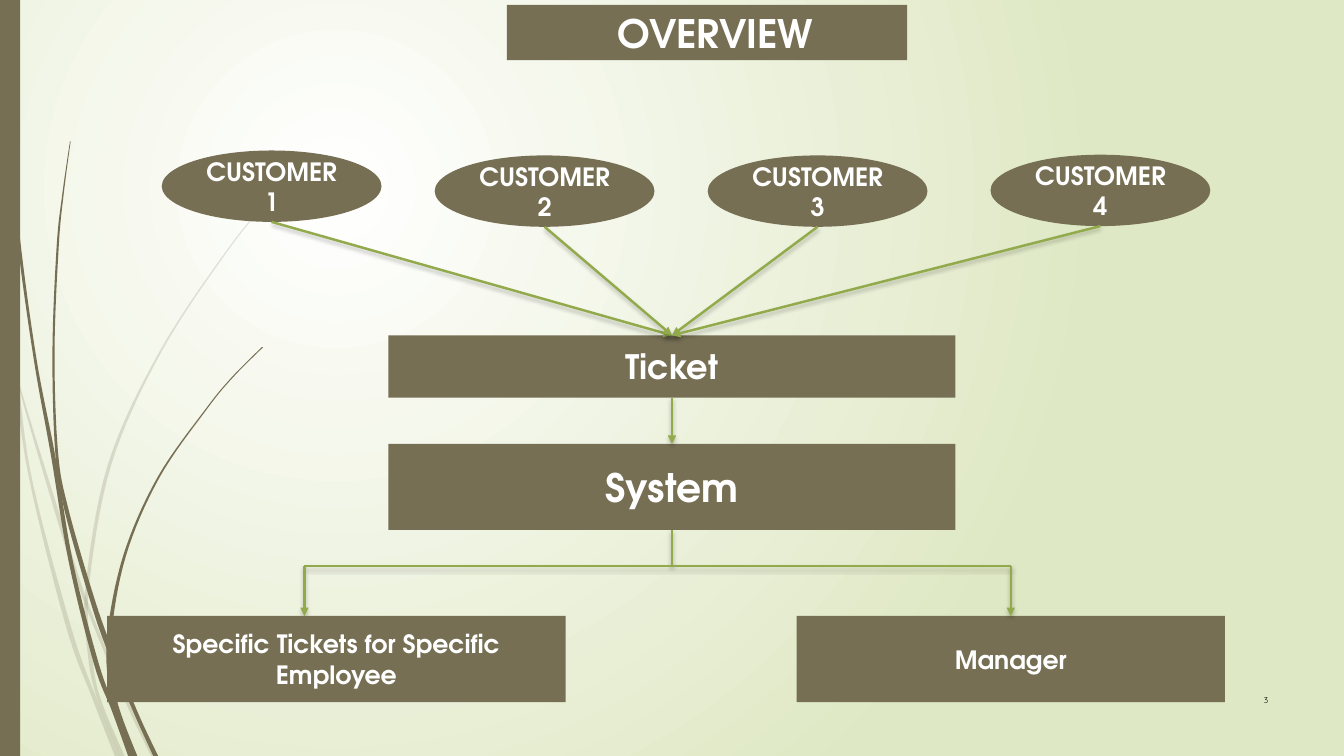
from lxml import etree
from pptx import Presentation
from pptx.dml.color import RGBColor
from pptx.enum.shapes import MSO_CONNECTOR as Link, MSO_SHAPE as Form
from pptx.enum.text import MSO_ANCHOR as Anchor, MSO_AUTO_SIZE as Auto, PP_ALIGN as Align
from pptx.oxml import parse_xml
from pptx.oxml.ns import nsdecls, qn
from pptx.util import Pt

BROWN = RGBColor(0x76, 0x6F, 0x54)
GREEN = RGBColor(0x92, 0xAA, 0x4C)
LIME = RGBColor(0xDF, 0xE8, 0xC4)
WHITE = RGBColor(0xFF, 0xFF, 0xFF)
BLACK = RGBColor(0, 0, 0)
FACE = "TeX Gyre Adventor"

PALE = [
    [(203, 0, 0), (215, 0, 3), (252, 8, 11), (338, 20, 22), (447, 47, 50.5),
     (499, 66, 69), (540, 82, 86)],
    [(248, 10, 10), (271, 12, 13), (375, 42, 45), (431, 60.5, 63),
     (500, 89, 91.5), (540, 108, 112)],
    [(110, 224.4, 225), (142, 193, 194), (176, 164, 165), (251, 114, 115.5),
     (332, 77, 79.5), (420, 61, 63.5), (465, 62.5, 65.5), (498, 69, 71.5),
     (540, 86, 89)],
]
DARK = [
    [(0, 2, 3), (79, 5, 6), (168, 12, 14), (256, 24, 26), (326, 36.5, 39.5),
     (401, 49, 52), (474, 67, 70.5), (508, 80, 83.5), (540, 91.5, 98)],
    [(101, 50, 50.5), (139, 44.5, 45.5), (176, 40.5, 42), (251, 37.5, 39),
     (323, 39.5, 41.5), (364, 46, 49), (426, 63.5, 67), (463, 76, 80),
     (509, 95.5, 98.5), (540, 109.5, 113)],
    [(248, 187, 188), (269, 166, 167), (292, 147, 148), (341, 112.5, 114),
     (397, 88, 90), (456, 76.5, 79.5), (498, 79.5, 83), (540, 94, 98)],
]


def paint(shape, alpha=None):
    shape.fill.solid()
    shape.fill.fore_color.rgb = BROWN
    shape.line.fill.background()
    if alpha:
        color = shape.element.spPr.find(qn("a:solidFill"))[0]
        etree.SubElement(color, qn("a:alpha"), val=str(alpha * 1000))


def write(shape, text, size, color=WHITE, align=Align.CENTER, face=FACE, bold=True):
    frame = shape.text_frame
    frame.text = text
    frame.word_wrap = True
    frame.auto_size = Auto.NONE
    frame.vertical_anchor = Anchor.MIDDLE
    para = frame.paragraphs[0]
    para.alignment = align
    font = para.runs[0].font
    font.name, font.size, font.bold = face, Pt(size), bold
    font.color.rgb = color


def add_box(slide, form, box, text=None, size=18):
    shape = slide.shapes.add_shape(form, *map(Pt, box))
    shape.shadow.inherit = False
    paint(shape)
    if text:
        write(shape, text, size)
    return shape


def add_line(slide, start, end, arrow=True):
    line = slide.shapes.add_connector(Link.STRAIGHT, *map(Pt, start + end))
    line.line.color.rgb = GREEN
    line.line.width = Pt(1.75)
    props = line.element.spPr
    if arrow:
        etree.SubElement(props.find(qn("a:ln")), qn("a:tailEnd"), type="triangle")
    props.append(parse_xml(
        f'<a:effectLst {nsdecls("a")}><a:outerShdw blurRad="{Pt(3)}" dist="{Pt(2)}" '
        'dir="5400000" rotWithShape="0"><a:srgbClr val="000000">'
        '<a:alpha val="25000"/></a:srgbClr></a:outerShdw></a:effectLst>'))


def join(slide, upper, lower):
    start = ((upper.left + upper.width / 2) / Pt(1), (upper.top + upper.height) / Pt(1))
    end = ((lower.left + lower.width / 2) / Pt(1), lower.top / Pt(1))
    add_line(slide, start, end)


def bend(rows, steps=8):
    rows = [rows[0], *rows, rows[-1]]
    curve = []
    for a, b, c, d in zip(rows, rows[1:], rows[2:], rows[3:]):
        for step in range(steps):
            t = step / steps
            curve.append([
                q + t / 2 * (r - p + t * (2 * p - 5 * q + 4 * r - s + t * (3 * (q - r) + s - p)))
                for p, q, r, s in zip(a, b, c, d)])
    return curve + [rows[-1]]


def add_blade(slide, box, rows, alpha=None):
    curve = bend(rows)
    edge = [(left, y) for y, left, _ in curve]
    edge += [(right, y) for y, _, right in reversed(curve)]
    dots = [(Pt(x), Pt(y)) for x, y in edge]
    pen = slide.shapes.build_freeform(*dots[0])
    pen.add_line_segments(dots[1:])
    blade = pen.convert_to_shape(Pt(box[0]), Pt(box[1]))
    blade.shadow.inherit = False
    paint(blade, alpha)


def add_back(slide, box):
    fill = slide.background.fill
    fill.gradient()
    stops = fill.gradient_stops
    for stop, color in zip(stops, (WHITE, LIME)):
        stop.color.rgb = color
    stops[0].position, stops[1].position = 0, 1
    grad = slide.element.find(".//" + qn("a:gradFill"))
    for lin in grad.findall(qn("a:lin")):
        grad.remove(lin)
    grad.append(parse_xml(
        f'<a:path {nsdecls("a")} path="circle"><a:fillToRect l="50000" t="50000" '
        'r="100000" b="100000"/></a:path>'))
    for rows in PALE:
        add_blade(slide, box, rows, 20)
    for rows in DARK:
        add_blade(slide, box, rows)
    x, y, _, high = box
    add_box(slide, Form.RECTANGLE, (x, y, 14.4, high))


def add_title(slide, box):
    title = slide.shapes.title
    title.left, title.top, title.width, title.height = map(Pt, box)
    title.element.spPr.append(parse_xml(
        f'<a:prstGeom {nsdecls("a")} prst="roundRect"><a:avLst/></a:prstGeom>'))
    paint(title)
    write(title, "OVERVIEW", 28, align=Align.LEFT)
    title.text_frame.margin_left = Pt(79.2)


def add_buyers(slide, box):
    x, y, _, high = box
    spots = [(0, 0), (195, 3.5), (390, 3.5), (592, 3)]
    return [add_box(slide, Form.OVAL, (x + dx, y + dy, 157, high), f"CUSTOMER{num}")
            for num, (dx, dy) in enumerate(spots, 1)]


def add_core(slide, box, buyers):
    x, y, wide, high = box
    ticket = add_box(slide, Form.RECTANGLE, (x, y, wide, 44.5), "Ticket", 24)
    for buyer in buyers:
        join(slide, buyer, ticket)
    system = add_box(slide, Form.RECTANGLE, (x, y + high - 61.5, wide, 61.5), "System", 28)
    join(slide, ticket, system)


def add_ends(slide, box):
    x, y, wide, high = box
    top = y + high - 61.5
    bar = y + 26
    left, mid, right = x + 141, x + 403.5, x + 645.5
    add_box(slide, Form.RECTANGLE, (x + wide - 306, top, 306, 61.5), "Manager")
    add_line(slide, (mid, y), (mid, bar), False)
    add_line(slide, (left, bar), (right, bar), False)
    for end in (left, right):
        add_line(slide, (end, bar), (end, top))
    add_box(slide, Form.RECTANGLE, (x, top, 327.5, 61.5),
            "Specific Tickets for Specific Employee")


def add_page(slide, box):
    page = slide.shapes.add_textbox(*map(Pt, box))
    write(page, "3", 6, BLACK, Align.RIGHT, "Quicksand", False)
    frame = page.text_frame
    frame.margin_left = frame.margin_right = frame.margin_top = frame.margin_bottom = 0


def main():
    deck = Presentation()
    deck.slide_width, deck.slide_height = Pt(960), Pt(540)
    slide = deck.slides.add_slide(deck.slide_layouts[5])
    add_back(slide, (0, 0, 960, 540))
    add_page(slide, (884, 496.5, 22, 7.5))
    add_title(slide, (362, 3.5, 286, 39.5))
    buyers = add_buyers(slide, (115.5, 107.5, 749, 51))
    add_core(slide, (277.5, 239.5, 405, 139), buyers)
    add_ends(slide, (76.5, 378.5, 798.5, 123))
    deck.save("out.pptx")


if __name__ == "__main__":
    main()
